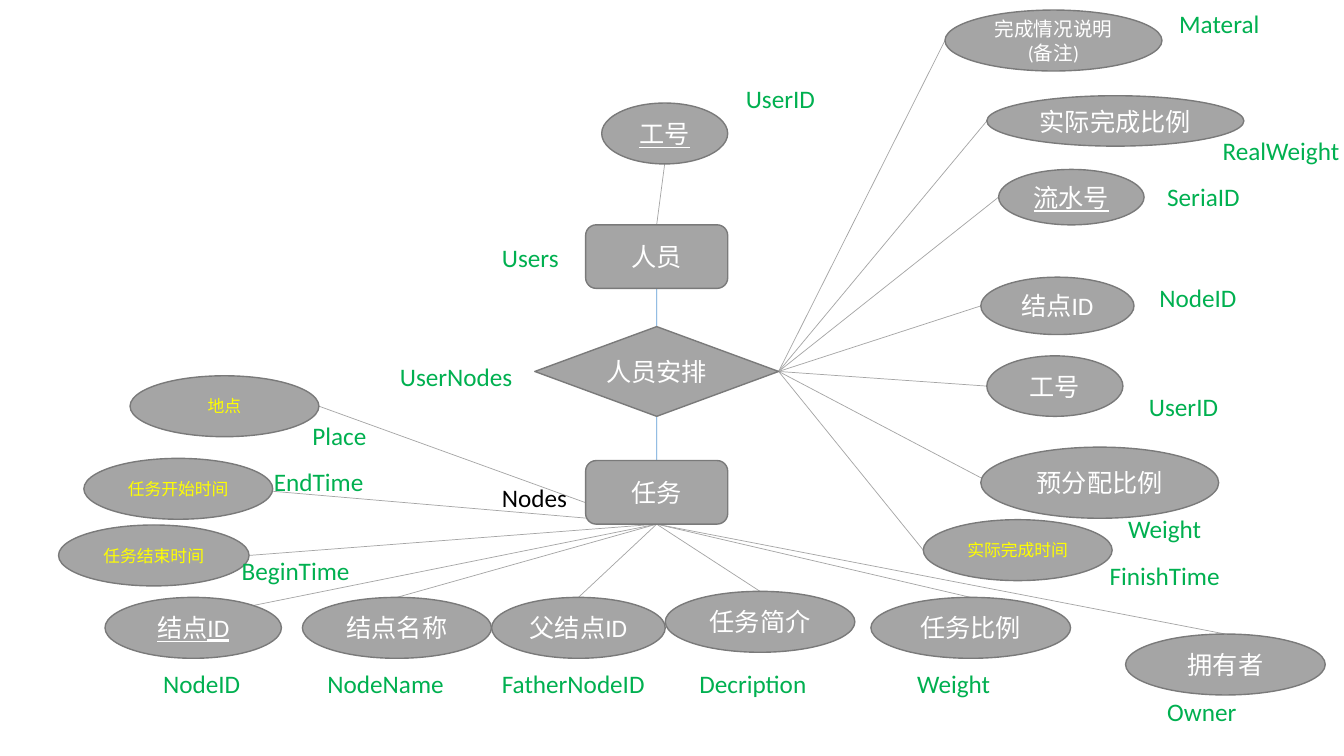
from lxml import etree
from pptx import Presentation
from pptx import util as u
from pptx.dml.color import RGBColor
from pptx.enum import shapes, text
from pptx.oxml.ns import qn

COLORS = {"fill": "A5A5A5", "edge": "7A7A7A", "link": "A5A5A5", "flow": "5B9BD5",
          "white": "FFFFFF", "yellow": "FFFF00", "green": "00B050", "black": "000000"}
KINDS = {"entity": shapes.MSO_SHAPE.ROUNDED_RECTANGLE,
         "relation": shapes.MSO_SHAPE.DIAMOND,
         "attribute": shapes.MSO_SHAPE.OVAL}
PLAIN = {"size": u.Pt(18), "color": "white"}
KEY = PLAIN | {"underline": True}
SMALL = PLAIN | {"size": u.Pt(14)}
TIMED = {"size": u.Pt(12), "color": "yellow"}
LABEL = {"size": u.Pt(18), "color": "green"}
LABEL_HEIGHT = 28.8

# Nodes: name -> kind, wording, style, (left, top, width, height)
NODES = {
    "users": ("entity", "人员", PLAIN, (418.3, 160.6, 101.5, 45.4)),
    "tasks": ("entity", "任务", PLAIN, (418.3, 329, 101.5, 45.4)),
    "assignment": ("relation", "人员安排", PLAIN, (382, 233.3, 174.2, 64.1)),
    "user key": ("attribute", "工号", KEY, (429.8, 73.6, 90, 43.5)),
    # Attributes of the assignment
    "material": ("attribute", "完成情况说明(备注)", SMALL, (675, 7.2, 155, 43.5)),
    "real weight": ("attribute", "实际完成比例", PLAIN, (704.9, 68.4, 183.6, 36)),
    "serial": ("attribute", "流水号", KEY, (713.3, 121, 103.9, 39.6)),
    "node": ("attribute", "结点ID", PLAIN, (700.6, 198, 109.4, 41)),
    "user": ("attribute", "工号", PLAIN, (704.9, 254.2, 97.2, 43.2)),
    "planned weight": ("attribute", "预分配比例", PLAIN, (700.6, 319.4, 169.9, 50.8)),
    "finish time": ("attribute", "实际完成时间", TIMED, (659.5, 371.2, 134.9, 43.5)),
    # Attributes of the task
    "place": ("attribute", "地点", TIMED, (92.9, 268.4, 134.9, 43.5)),
    "start time": ("attribute", "任务开始时间", TIMED, (59.9, 327.4, 134.9, 43.5)),
    "end time": ("attribute", "任务结束时间", TIMED, (41.8, 375, 136.1, 43.5)),
    "node key": ("attribute", "结点ID", KEY, (75, 426.7, 126, 43.5)),
    "node name": ("attribute", "结点名称", PLAIN, (216, 426.7, 135, 43.5)),
    "father node": ("attribute", "父结点ID", PLAIN, (351.2, 426.7, 124, 43.5)),
    "description": ("attribute", "任务简介", PLAIN, (475.2, 422.4, 135.4, 43.5)),
    "task weight": ("attribute", "任务比例", PLAIN, (622.1, 426.7, 142.6, 43.5)),
    "owner": ("attribute", "拥有者", PLAIN, (804, 452.9, 142.6, 43.5)),
}

# Field names: wording, left, top, width
LABELS = [
    ("NodeID", 109.4, 473.8, 78.5), ("NodeName", 226.8, 473.8, 106.6),
    ("FatherNodeID", 351.4, 473.8, 122.4), ("Decription", 492.5, 473.8, 114.5),
    ("Weight", 648, 473.8, 114.5), ("Weight", 798.7, 362.9, 114.5),
    ("UserID", 525.6, 56.2, 114.5), ("UserID", 813.6, 275.8, 114.5),
    ("NodeID", 821, 198, 78.5), ("SeriaID", 826.6, 126, 78.5),
    ("Nodes", 351.4, 341.3, 78.5), ("Users", 351.4, 169.2, 78.5),
    ("UserNodes", 278.6, 254.2, 103.7), ("RealWeight", 866.2, 92.9, 114.5),
    ("Materal", 835.2, 2.2, 114.5), ("Owner", 826.6, 493.9, 114.5),
    ("BeginTime", 165.6, 393.1, 95.8), ("EndTime", 188.6, 329.8, 95.8),
    ("Place", 216, 296.6, 95.8), ("FinishTime", 785.5, 396.7, 95.8),
]

# Links: node, spot on it, node, spot on it, colour (spots are shares of the box)
TOP, BOTTOM, LEFT, RIGHT = (0.5, 0), (0.5, 1), (0, 0.5), (1, 0.5)
LINKS = [("user key", BOTTOM, "users", TOP, "link"),
         ("users", BOTTOM, "assignment", TOP, "flow"),
         ("assignment", BOTTOM, "tasks", TOP, "flow"),
         ("planned weight", (0, 0.43), "assignment", RIGHT, "link"),
         ("place", RIGHT, "tasks", (0.38, 0.97), "link"),
         ("start time", (0.96, 0.53), "tasks", BOTTOM, "link"),
         ("end time", RIGHT, "tasks", BOTTOM, "link"),
         ("node key", (0.59, 0.28), "tasks", BOTTOM, "link")]
LINKS += [(name, LEFT, "assignment", RIGHT, "link") for name in
          ("material", "real weight", "serial", "node", "user", "finish time")]
LINKS += [(name, TOP, "tasks", BOTTOM, "link") for name in
          ("node name", "father node", "description", "task weight", "owner")]


def rgb(name):
    return RGBColor.from_string(COLORS[name])


def spot(name, share):
    left, top, width, height = NODES[name][3]
    return u.Pt(left + share[0] * width), u.Pt(top + share[1] * height)


def write(box, wording, style, frame_format, align):
    frame = box.text_frame
    for field, value in frame_format.items():
        setattr(frame, field, value)
    para = frame.paragraphs[0]
    para.alignment = align
    span = para.add_run()
    span.text = wording
    span.font.name = "Calibri"
    for field, value in style.items():
        if field == "color":
            span.font.color.rgb = rgb(value)
        else:
            setattr(span.font, field, value)


deck = Presentation()
deck.slide_width, deck.slide_height = u.Pt(960), u.Pt(540)
page = deck.slides.add_slide(deck.slide_layouts[6])

# Links lie behind the nodes
for start, start_spot, end, end_spot, color in LINKS:
    link = page.shapes.add_connector(shapes.MSO_CONNECTOR.STRAIGHT,
                                     *spot(start, start_spot), *spot(end, end_spot))
    link.line.color.rgb = rgb(color)
    link.line.width = u.Pt(0.5)
    etree.SubElement(link._element.spPr, qn("a:effectLst"))

# Entities, relation and attributes
for kind, wording, style, place in NODES.values():
    box = page.shapes.add_shape(KINDS[kind], *map(u.Pt, place))
    box.shadow.inherit = False
    box.fill.solid()
    box.fill.fore_color.rgb = rgb("fill")
    box.line.color.rgb = rgb("edge")
    box.line.width = u.Pt(1)
    write(box, wording, style,
          {"word_wrap": True, "vertical_anchor": text.MSO_ANCHOR.MIDDLE},
          text.PP_ALIGN.CENTER)

# Field names
for wording, *place in LABELS:
    box = page.shapes.add_textbox(*map(u.Pt, (*place, LABEL_HEIGHT)))
    style = LABEL | {"color": "black"} if wording == "Nodes" else LABEL
    write(box, wording, style,
          {"word_wrap": True, "auto_size": text.MSO_AUTO_SIZE.SHAPE_TO_FIT_TEXT},
          text.PP_ALIGN.LEFT)

deck.save("out.pptx")
